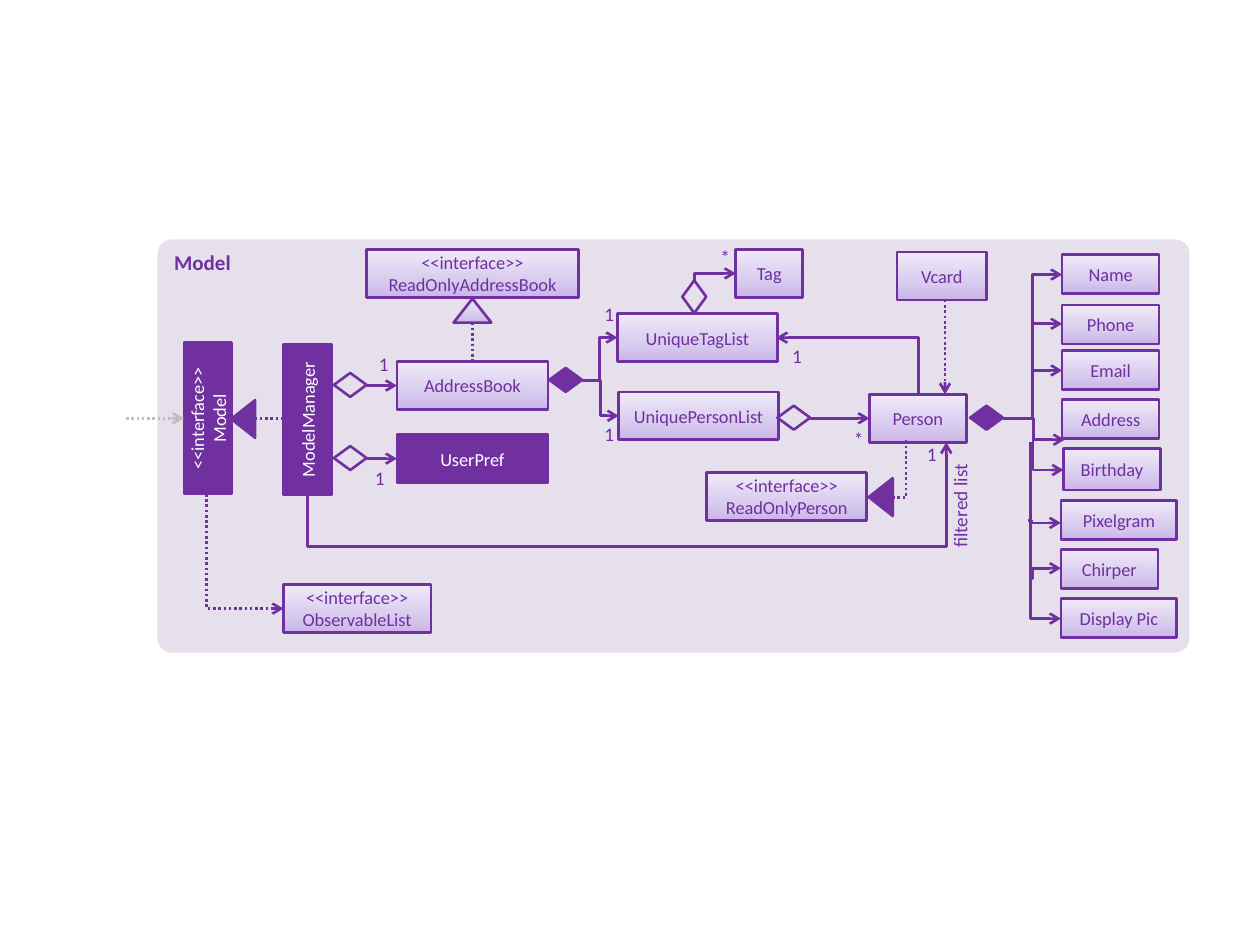
from copy import deepcopy

from lxml.etree import SubElement
from pptx import Presentation
from pptx.dml.color import RGBColor
from pptx.enum.dml import MSO_LINE
from pptx.enum.shapes import MSO_CONNECTOR as CONN, MSO_SHAPE as SHAPE
from pptx.enum.text import MSO_ANCHOR as ANCHOR, MSO_AUTO_SIZE as AUTO, PP_ALIGN as ALIGN
from pptx.oxml.ns import qn
from pptx.util import Emu, Pt

PURPLE = RGBColor(0x70, 0x30, 0xA0)
WHITE = RGBColor(0xFF, 0xFF, 0xFF)
GREY = RGBColor(0xBF, 0xBF, 0xBF)
PANEL = RGBColor(0xE6, 0xE0, 0xEC)
GRADIENT = [
    (0, RGBColor(0xC9, 0xB5, 0xE8)),
    (0.35, RGBColor(0xD8, 0xCB, 0xEE)),
    (1, RGBColor(0xF0, 0xEA, 0xF9)),
]
EMU_PER_PX = 9144
LINE_WIDTH = Pt(1.5)
BOX_FONT = {"name": "Calibri", "size": Pt(10.5)}
LABEL_FONT = {"name": "Calibri", "size": Pt(11)}
PANEL_FONT = {"name": "Calibri", "size": Pt(12), "bold": True}
NO_MARGINS = {f"margin_{side}": 0 for side in ("left", "top", "right", "bottom")}


def px(*values):
    return [Emu(round(v * EMU_PER_PX)) for v in values]


def apply(obj, values):
    for name, value in values.items():
        setattr(obj, name, value)


def write(tf, text, font, color, align):
    tf.text = text
    for p in tf.paragraphs:
        p.alignment = align
        for r in p.runs:
            apply(r.font, font)
            r.font.color.rgb = color


def fill_gradient(sp):
    sp.fill.gradient()
    sp.fill.gradient_angle = 90
    stops = sp.element.spPr.find(".//" + qn("a:gsLst"))
    stops.append(deepcopy(stops[-1]))
    for stop, (position, color) in zip(sp.fill.gradient_stops, GRADIENT):
        stop.position = position
        stop.color.rgb = color


def add_outlined(s, kind, at, fill, rotation=0):
    sp = s.shapes.add_shape(kind, *px(*at))
    sp.shadow.inherit = False
    sp.rotation = rotation
    if fill == "gradient":
        fill_gradient(sp)
    elif fill:
        sp.fill.solid()
        sp.fill.fore_color.rgb = fill
    else:
        sp.fill.background()
    sp.line.color.rgb = PURPLE
    sp.line.width = LINE_WIDTH
    return sp


def add_box(s, text, at, solid=False, rotation=0):
    sp = add_outlined(s, SHAPE.RECTANGLE, at, PURPLE if solid else "gradient", rotation)
    sp.text_frame.vertical_anchor = ANCHOR.MIDDLE
    write(sp.text_frame, text, BOX_FONT, WHITE if solid else PURPLE, ALIGN.CENTER)
    return sp


def add_panel(s, text, at):
    sp = add_outlined(s, SHAPE.ROUNDED_RECTANGLE, at, PANEL)
    sp.adjustments[0] = 0.035
    sp.line.fill.background()
    sp.text_frame.vertical_anchor = ANCHOR.TOP
    write(sp.text_frame, text, PANEL_FONT, PURPLE, ALIGN.LEFT)


def add_label(s, text, at, align=ALIGN.CENTER, rotation=0, frame=NO_MARGINS):
    sp = s.shapes.add_textbox(*px(*at))
    sp.rotation = rotation
    sp.text_frame.word_wrap = True
    apply(sp.text_frame, frame)
    write(sp.text_frame, text, LABEL_FONT, PURPLE, align)


def style_line(c, arrow, dotted, color=PURPLE):
    c.line.color.rgb = color
    c.line.width = LINE_WIDTH
    if dotted:
        c.line.dash_style = MSO_LINE.ROUND_DOT
    sp_pr = c.element.spPr
    if arrow:
        SubElement(sp_pr.find(qn("a:ln")), qn("a:tailEnd"), type="arrow")
    SubElement(sp_pr, qn("a:effectLst"))


def add_line(s, start, end, begin=None, finish=None, arrow=True, dotted=False, color=PURPLE):
    points = px(*start, *end)
    c = s.shapes.add_connector(CONN.STRAIGHT, *points)
    if begin:
        c.begin_connect(*begin)
    if finish:
        c.end_connect(*finish)
    apply(c, dict(zip(("begin_x", "begin_y", "end_x", "end_y"), points)))
    style_line(c, arrow, dotted, color)


def add_elbow(s, start, end, bends=2, vertical=False, adjust=(), arrow=True, dotted=False):
    (x1, y1), (x2, y2) = start, end
    if vertical:
        cx, cy = (x1 + x2) / 2, (y1 + y2) / 2
        w, h = y1 - y2, x2 - x1
        x1, y1, x2, y2 = cx - w / 2, cy - h / 2, cx + w / 2, cy + h / 2
    c = s.shapes.add_connector(CONN.ELBOW, *px(x1, y1, x2, y2))
    sp_pr = c.element.spPr
    if vertical:
        sp_pr.find(qn("a:xfrm")).set("rot", "16200000")
    geom = sp_pr.find(qn("a:prstGeom"))
    geom.set("prst", f"bentConnector{bends + 1}")
    for i, value in enumerate(adjust, 1):
        SubElement(geom.find(qn("a:avLst")), qn("a:gd"),
                   name=f"adj{i}", fmla=f"val {round(value * 100000)}")
    style_line(c, arrow, dotted)


def add_classes(s):
    model = add_box(s, "<<interface>>\nModel", (105, 313, 120, 38), True, 270)
    manager = add_box(s, "ModelManager", (184, 314, 120, 38), True, 270)
    prefs = add_box(s, "UserPref", (315, 345, 120, 38), True)
    book = add_box(s, "AddressBook", (315, 287, 120, 38))
    person = add_box(s, "Person", (690, 313, 77, 38))
    for text, at in [
        ("UniquePersonList", (491, 311, 127, 38)),
        ("UniqueTagList", (490, 249, 127, 38)),
        ("Tag", (584, 198, 53, 38)),
        ("Vcard", (712, 200, 71, 38)),
        ("<<interface>>\vReadOnlyPerson", (561, 375, 127, 38)),
        ("<<interface>>\vReadOnlyAddressBook", (291, 198, 168, 38)),
        ("<<interface>>\vObservableList", (225, 464, 117, 38)),
        ("Name", (843, 202, 77, 31)),
        ("Phone", (843, 242, 77, 31)),
        ("Email", (843, 278, 77, 31)),
        ("Address", (843, 317, 77, 31)),
        ("Birthday", (844, 356, 77, 33)),
        ("Pixelgram", (842, 397, 92, 31)),
        ("Chirper", (842, 436, 77, 31)),
        ("Display Pic", (842, 475, 92, 31)),
    ]:
        add_box(s, text, at)
    return model, manager, prefs, book, person


def add_symbols(s):
    for x, y, fill, rotation in [
        (265, 354, None, 0), (265, 296, None, 0), (617, 322, None, 0),
        (538, 226, None, 270), (436, 292, PURPLE, 0), (770, 322, PURPLE, 0),
    ]:
        add_outlined(s, SHAPE.FLOWCHART_DECISION, (x, y, 26, 19), fill, rotation)
    for x, y, fill, rotation in [
        (178, 323, PURPLE, 270), (684, 385, PURPLE, 270), (360, 237, "gradient", 0),
    ]:
        add_outlined(s, SHAPE.ISOSCELES_TRIANGLE, (x, y, 30, 19), fill, rotation)


def add_relations(s, model, manager, prefs, book, person):
    add_line(s, (100, 332), (146, 332), finish=(model, 0), dotted=True, color=GREY)
    add_line(s, (202, 332), (226, 332), finish=(manager, 0), arrow=False, dotted=True)
    add_line(s, (291, 364), (315, 364), finish=(prefs, 1))
    add_line(s, (291, 306), (315, 306), finish=(book, 1))
    add_line(s, (643, 332), (690, 332), finish=(person, 1))
    add_line(s, (375, 256), (375, 287), finish=(book, 0), arrow=False, dotted=True)
    add_line(s, (750, 238), (750, 313), dotted=True)

    for end in [(491, 330), (490, 268)]:
        add_elbow(s, (462, 302), end)
    for end in [(843, 218), (843, 257), (843, 294), (844, 373), (845, 349)]:
        add_elbow(s, (796, 332), end)
    add_elbow(s, (816, 413), (842, 415), adjust=[0.1])
    add_elbow(s, (818, 459), (842, 451), adjust=[0.07])
    for start, end in [((818, 351), (842, 491)), ((551, 223), (584, 217)),
                       ((729, 313), (616, 268))]:
        add_elbow(s, start, end, bends=1, vertical=True)
    add_elbow(s, (164, 392), (225, 483), bends=1, vertical=True, dotted=True)
    add_elbow(s, (708, 395), (719, 349), bends=1, arrow=False, dotted=True)
    add_elbow(s, (244, 392), (751, 351), bends=3, vertical=True, adjust=[-1.02, 1])


def add_labels(s):
    for text, x, y in [
        ("1", 473, 240), ("1", 473, 335), ("1", 622, 273), ("*", 565, 195),
        ("*", 671, 339), ("1", 294, 280), ("1", 291, 370), ("1", 729, 351),
    ]:
        add_label(s, text, (x, y, 21, 20))
    add_label(s, "filtered list", (714, 392, 96, 29), ALIGN.RIGHT, 270,
              {"auto_size": AUTO.SHAPE_TO_FIT_TEXT})


def main():
    prs = Presentation()
    prs.slide_width, prs.slide_height = px(1000, 750)
    s = prs.slides.add_slide(prs.slide_layouts[6])
    add_panel(s, "Model", (125, 190, 819, 328))
    classes = add_classes(s)
    add_symbols(s)
    add_relations(s, *classes)
    add_labels(s)
    prs.save("out.pptx")


if __name__ == "__main__":
    main()
